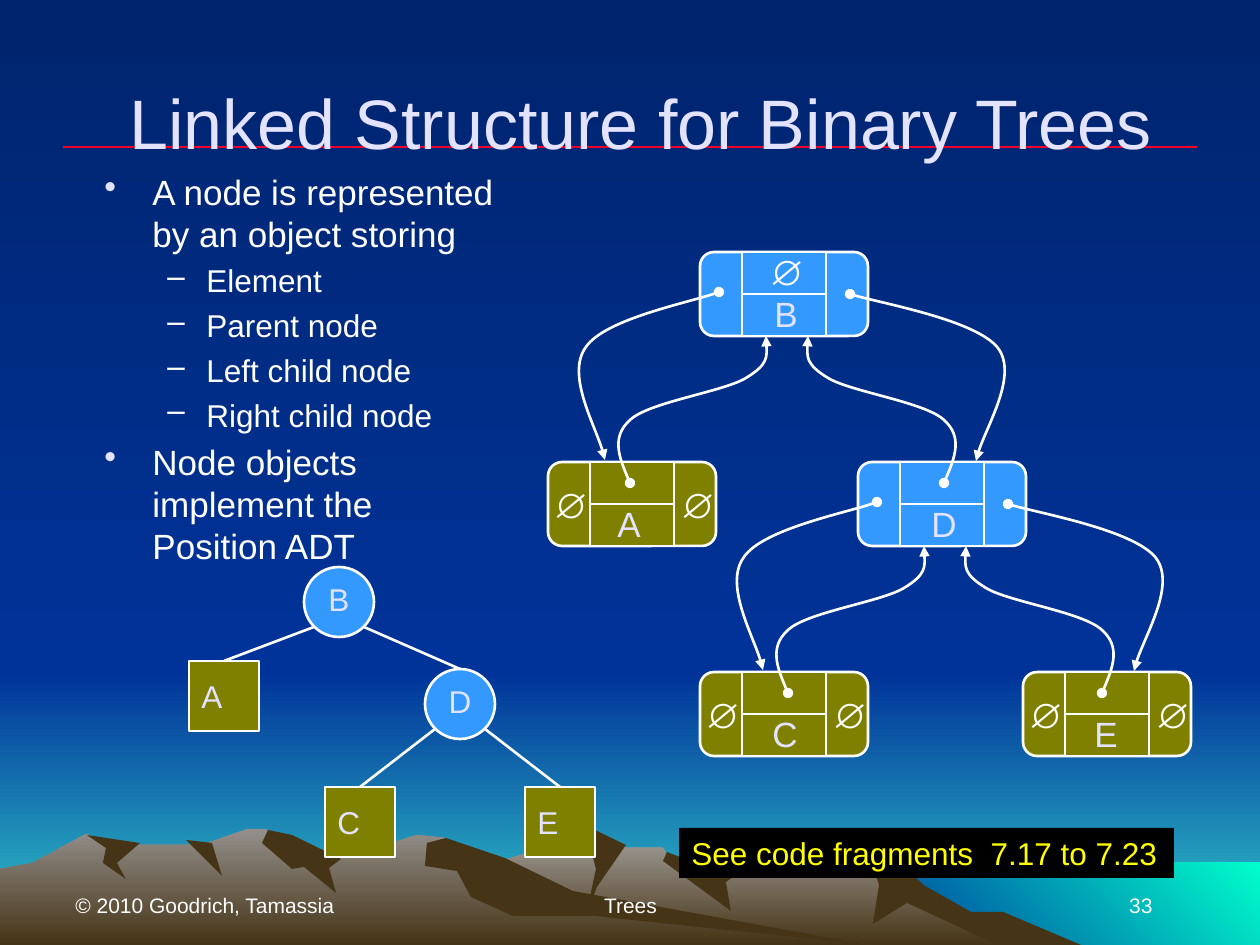
from lxml.etree import SubElement
from pptx import Presentation
from pptx.dml.color import RGBColor
from pptx.enum.shapes import MSO_CONNECTOR, MSO_SHAPE
from pptx.enum.text import MSO_ANCHOR, PP_ALIGN
from pptx.oxml.ns import qn
from pptx.util import Emu, Pt

PX = Emu(914400) / 126
COLORS = {
    "navy": "00246D", "blue": "003399", "teal": "33CCCC", "mint": "00FFCC",
    "stone": "A5A29F", "slate": "938F8B", "earth": "463416", "red": "EF0129",
    "node": "3399FF", "leaf": "808000", "label": "E3E3FF", "white": "FFFFFF",
    "black": "000000", "yellow": "FFFF00",
}
RGB = {name: RGBColor.from_string(code) for name, code in COLORS.items()}


def style(shape, fill=None, line=None):
    """Fill with a color name or a (start, end, angle) gradient; outline if asked."""
    shape.shadow.inherit = False
    if isinstance(fill, tuple):
        shape.fill.gradient()
        shape.fill.gradient_angle = fill[2]
        for stop, name in zip(shape.fill.gradient_stops, fill):
            stop.color.rgb = RGB[name]
    elif fill:
        shape.fill.solid()
        shape.fill.fore_color.rgb = RGB[fill]
    else:
        shape.fill.background()
    if line:
        shape.line.color.rgb = RGB[line]
        shape.line.width = Pt(1.5)
    else:
        shape.line.fill.background()


def write(box, text, size, color, align=PP_ALIGN.LEFT, anchor=MSO_ANCHOR.TOP,
          wrap=False, bold=False):
    frame = box.text_frame
    frame.word_wrap = wrap
    frame.vertical_anchor = anchor
    para = frame.paragraphs[0]
    para.text = text
    para.alignment = align
    para.font.name = "Arial"
    para.font.size = Pt(size)
    para.font.bold = bold
    para.font.color.rgb = RGB[color]


deck = Presentation()
deck.slide_width, deck.slide_height = Emu(round(1260 * PX)), Emu(round(945 * PX))
page = deck.slides.add_slide(deck.slide_layouts[6])
shapes = page.shapes

# Sky, horizon and sea
backdrop = page.background.fill
backdrop.gradient()
backdrop.gradient_angle = 270
for stop, name in zip(backdrop.gradient_stops, ("navy", "blue")):
    stop.color.rgb = RGB[name]
for left, top, width, height, fill in [
    (0, 672, 1260, 273, ("blue", "teal", 270)),
    (0, 0, 1260, 672, ("navy", "blue", 270)),
    (861, 862, 399, 83, ("blue", "mint", 45)),
]:
    area = shapes.add_shape(MSO_SHAPE.RECTANGLE, *[round(n * PX) for n in (left, top, width, height)])
    style(area, fill)

# Mountains: ridges and their shaded faces
mountains = [
    (("stone", "earth", 270), [
        (1034, 945), (963, 911), (911, 879), (863, 832), (827, 845), (793, 845), (713, 878),
        (675, 869), (663, 848), (612, 848), (593, 829), (552, 845), (496, 863), (412, 893), (325, 945)]),
    ("earth", [(1003, 912), (971, 912), (925, 886), (863, 832), (879, 885), (873, 924), (907, 903),
               (998, 945), (1081, 945)]),
    ("earth", [(593, 829), (590, 845), (596, 869), (586, 916), (597, 887), (626, 845)]),
    ("earth", [(667, 852), (663, 861), (731, 911), (726, 882), (746, 868), (718, 872)]),
    (("slate", "earth", 270), [
        (869, 945), (544, 897), (446, 838), (417, 835), (341, 859), (297, 858), (267, 829),
        (247, 829), (202, 845), (118, 845), (86, 834), (33, 863), (0, 869), (0, 945)]),
    ("earth", [(268, 830), (262, 843), (292, 869), (304, 867), (336, 893), (329, 868), (341, 859),
               (292, 835)]),
    ("earth", [(446, 838), (427, 843), (425, 866), (457, 871), (471, 897), (513, 916), (595, 916),
               (869, 945), (573, 891), (505, 858)]),
    ("earth", [(186, 840), (212, 843), (222, 876)]),
    ("earth", [(140, 843), (117, 863), (126, 879), (103, 863), (106, 848), (87, 835)]),
]
for fill, points in mountains:
    builder = shapes.build_freeform(*points[0], scale=PX)
    builder.add_line_segments(points[1:], close=True)
    style(builder.convert_to_shape(), fill)

# Title rule, title and footer
rule = shapes.add_connector(MSO_CONNECTOR.STRAIGHT, *[round(n * PX) for n in (63, 147, 1197, 147)])
rule.line.color.rgb = RGB["red"]
rule.line.width = Pt(0.75)
SubElement(rule._element.spPr, qn("a:effectLst"))
for left, top, width, height, text, size, color, align, anchor in [
    (84, 42, 1113, 158, "Linked Structure for Binary Trees", 40, "label", PP_ALIGN.CENTER, MSO_ANCHOR.MIDDLE),
    (63, 861, 294, 63, "© 2010 Goodrich, Tamassia", 12, "white", PP_ALIGN.LEFT, MSO_ANCHOR.BOTTOM),
    (431, 861, 399, 63, "Trees", 12, "white", PP_ALIGN.CENTER, MSO_ANCHOR.BOTTOM),
    (903, 861, 262, 63, "33", 12, "white", PP_ALIGN.RIGHT, MSO_ANCHOR.BOTTOM),
]:
    box = shapes.add_textbox(*[round(n * PX) for n in (left, top, width, height)])
    write(box, text, size, color, align, anchor, wrap=True)

# Bulleted list
body = shapes.add_textbox(*[round(n * PX) for n in (92, 164, 421, 402)]).text_frame
body.word_wrap = True
for index, (level, text) in enumerate([
    (0, "A node is represented by an object storing"),
    (1, "Element"), (1, "Parent node"), (1, "Left child node"), (1, "Right child node"),
    (0, "Node objects implement the Position ADT"),
]):
    para = body.add_paragraph() if index else body.paragraphs[0]
    para.text = text
    para.level = level
    if index:
        para.space_before = Pt(4)
    margin, hang, mark, mark_color = [(48, 48, "•", "label"), (102, 39, "–", "white")][level]
    props = para._p.get_or_add_pPr()
    props.set("marL", str(round(margin * PX)))
    props.set("indent", str(round(-hang * PX)))
    tint = SubElement(props, qn("a:buClr"))
    SubElement(tint, qn("a:srgbClr"), val=COLORS[mark_color])
    SubElement(props, qn("a:buChar"), char=mark)
    para.font.name = "Arial"
    para.font.size = Pt(18 if level else 20)
    para.font.color.rgb = RGB["white"]

# Abstract tree: circles are internal nodes, squares are leaves
tree = {}
for name, left, top in [("B", 304, 567), ("D", 425, 669), ("A", 189, 661), ("C", 325, 787), ("E", 525, 787)]:
    internal = name in "BD"
    kind = MSO_SHAPE.OVAL if internal else MSO_SHAPE.RECTANGLE
    node = shapes.add_shape(kind, *[round(n * PX) for n in (left, top, 70, 70)])
    style(node, "node" if internal else "leaf", "white")
    write(node, name, 18, "label", PP_ALIGN.CENTER if internal else PP_ALIGN.LEFT, MSO_ANCHOR.MIDDLE)
    if internal:
        frame = node.text_frame
        frame.margin_left = frame.margin_right = frame.margin_top = 0
        frame.margin_bottom = round(6 * PX)
    tree[name] = node
for parent, child, dx in [("D", "E", 60), ("D", "C", 10), ("B", "A", 10), ("B", "D", 60)]:
    x, y = tree[parent].left + dx * PX, tree[parent].top + 60 * PX
    edge = shapes.add_connector(MSO_CONNECTOR.STRAIGHT, 0, 0, round(x), round(y))
    edge.begin_connect(tree[child], 0)
    edge.line.color.rgb = RGB["white"]
    edge.line.width = Pt(1.5)
    SubElement(edge._element.spPr, qn("a:effectLst"))

# Linked node records: left link | parent over element | right link
for name, left, top, label_dx in [("B", 700, 252, 62), ("A", 548, 462, 57), ("D", 858, 462, 61),
                                  ("C", 700, 672, 60), ("E", 1023, 672, 59)]:
    fill = "node" if name in "BD" else "leaf"
    record = shapes.add_shape(MSO_SHAPE.ROUNDED_RECTANGLE, *[round(n * PX) for n in (left, top, 168, 84)])
    cell = shapes.add_shape(MSO_SHAPE.RECTANGLE, *[round(n * PX) for n in (left + 42, top, 84, 84)])
    for part in (record, cell):
        style(part, fill, "white")
    divider = shapes.add_connector(MSO_CONNECTOR.STRAIGHT, 0, 0, 0, 0)
    divider.begin_connect(cell, 1)
    divider.end_connect(cell, 3)
    divider.line.color.rgb = RGB["white"]
    divider.line.width = Pt(1.5)
    SubElement(divider._element.spPr, qn("a:effectLst"))
    label = shapes.add_textbox(*[round(n * PX) for n in (left + label_dx, top + 34, 48, 54)])
    write(label, name, 20, "label")
    empty_links = [(-7, 15), (120, 15)] if fill == "leaf" else [(57, -8)] if name == "B" else []
    for dx, dy in empty_links:
        null = shapes.add_textbox(*[round(n * PX) for n in (left + dx, top + dy, 54, 54)])
        write(null, "∅", 20, "white", bold=True)

# Curved links around B, repeated one level down around D
up_left = [(630, 483), (620, 460), (611, 437), (630, 420), (649, 402), (723, 392), (746, 378),
           (769, 364), (767, 350), (766, 336)]
up_right = [(2 * 787 - x, y) for x, y in up_left]
down_left = [(719, 292), (697, 301), (605, 319), (586, 347), (566, 374), (601, 436), (605, 460)]
down_right = [(850, 294), (874, 302), (976, 320), (998, 348), (1018, 375), (980, 437), (976, 461)]
for points in (up_left, up_right, down_left, down_right):
    for dx, dy in [(0, 0), (158, 210)]:
        start, *rest = [(x + dx, y + dy) for x, y in points]
        builder = shapes.build_freeform(*start, scale=PX)
        builder.add_line_segments(rest, close=False)
        link = builder.convert_to_shape()
        style(link, None, "white")
        # Turn every three straight segments into one cubic curve
        outline = next(link._element.iter(qn("a:path")))
        segments = outline.findall(qn("a:lnTo"))
        for first in range(0, len(segments), 3):
            curve = SubElement(outline, qn("a:cubicBezTo"))
            for segment in segments[first:first + 3]:
                curve.append(segment[0])
                outline.remove(segment)
        stroke = link.line._get_or_add_ln()
        SubElement(stroke, qn("a:headEnd"), type="oval")
        SubElement(stroke, qn("a:tailEnd"), type="triangle")

# Code reference
note = shapes.add_shape(MSO_SHAPE.RECTANGLE, *[round(n * PX) for n in (679, 828, 495, 50)])
style(note, "black")
write(note, "See code fragments  7.17 to 7.23", 18, "yellow")

deck.save("out.pptx")
